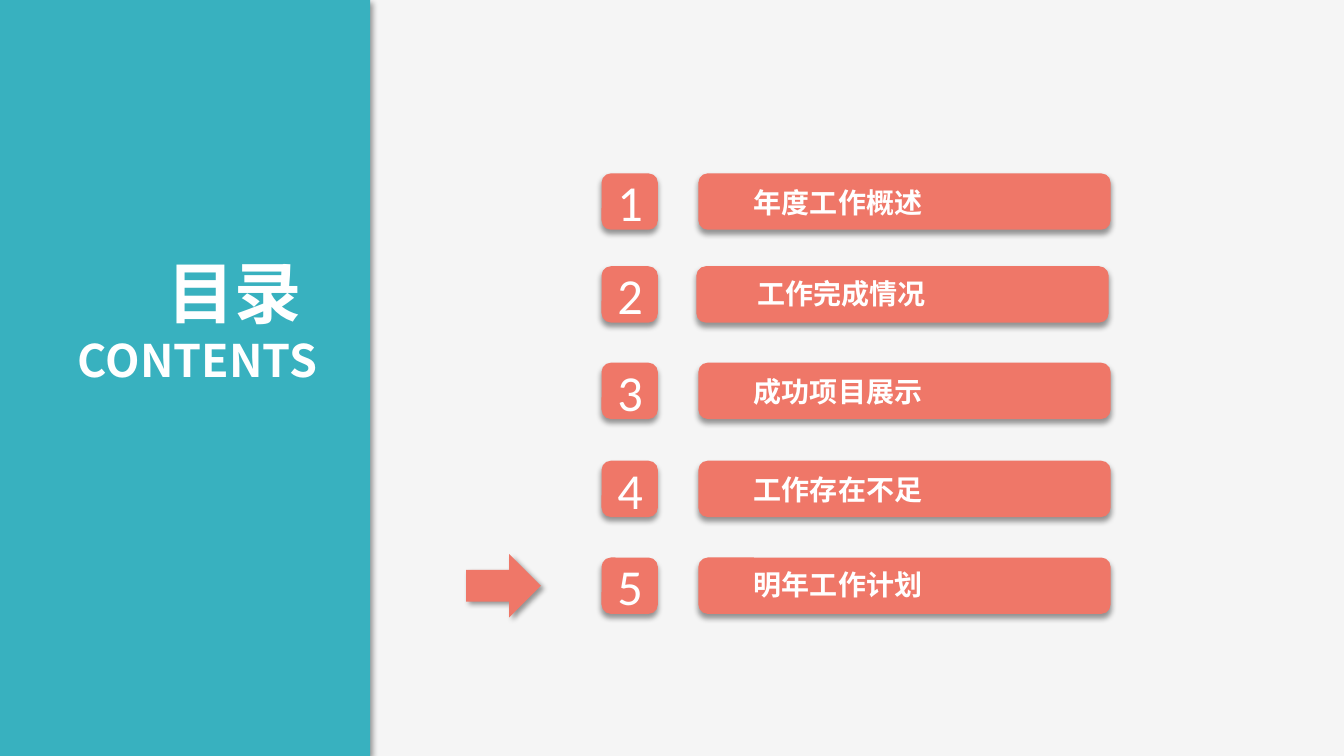
from lxml.etree import SubElement
from pptx import Presentation
from pptx.dml.color import RGBColor
from pptx.enum.shapes import MSO_SHAPE
from pptx.enum.text import MSO_ANCHOR, MSO_AUTO_SIZE, PP_ALIGN
from pptx.oxml.ns import qn
from pptx.util import Cm, Pt

TEAL, CORAL, WHITE, BACKGROUND = "38B1BF", "EF7768", "FFFFFF", "F5F5F5"
CJK_FONT = "Noto Sans CJK SC"


def add_block(shapes, kind, left, top, width, height, color, angle):
    shape = shapes.add_shape(kind, Cm(left), Cm(top), Cm(width), Cm(height))
    shape.fill.solid()
    shape.fill.fore_color.rgb = RGBColor.from_string(color)
    shape.line.fill.background()
    shape.shadow.inherit = False
    effects = shape._element.spPr.find(qn("a:effectLst"))
    shadow = SubElement(effects, qn("a:outerShdw"), blurRad=str(Pt(4)), dist=str(Pt(3)),
                        dir=str(angle * 60000), algn="t", rotWithShape="0")
    shadow_color = SubElement(shadow, qn("a:srgbClr"), val="000000")
    SubElement(shadow_color, qn("a:alpha"), val="40000")
    return shape


def write(shape, lines, font_name, bold, alignment, anchor, auto_size):
    frame = shape.text_frame
    frame.word_wrap = True
    frame.auto_size = auto_size
    frame.vertical_anchor = anchor
    frame.margin_left = frame.margin_right = Cm(0.33)
    frame.margin_top = frame.margin_bottom = Cm(0.17)
    frame.text = "\n".join(text for text, size in lines)
    for paragraph, (text, size) in zip(frame.paragraphs, lines):
        paragraph.alignment = alignment
        paragraph.font.size = Pt(size)
        paragraph.font.bold = bold
        paragraph.font.color.rgb = RGBColor.from_string(WHITE)
        paragraph.font.name = font_name
        properties = paragraph._p.pPr.find(qn("a:defRPr"))
        SubElement(properties, qn("a:ea"), typeface=font_name)


presentation = Presentation()
presentation.slide_width = Cm(33.87)
presentation.slide_height = Cm(19.05)
slide = presentation.slides.add_slide(presentation.slide_layouts[5])
slide.background.fill.solid()
slide.background.fill.fore_color.rgb = RGBColor.from_string(BACKGROUND)

sections = [
    ("年度工作概述", 4.37, 17.6, 18.67, 4.5),
    ("工作完成情况", 6.71, 17.55, 18.75, 6.81),
    ("成功项目展示", 9.14, 17.6, 18.67, 9.27),
    ("工作存在不足", 11.61, 17.6, 18.67, 11.73),
    ("明年工作计划", 14.05, 17.6, 18.67, 14.12),
]
for number, (name, top, bar_left, label_left, label_top) in enumerate(sections, 1):
    badge = add_block(slide.shapes, MSO_SHAPE.ROUNDED_RECTANGLE, 15.16, top, 1.42, 1.42, CORAL, 90)
    write(badge, [(str(number), 36)], "Calibri", False, PP_ALIGN.CENTER,
          MSO_ANCHOR.MIDDLE, MSO_AUTO_SIZE.NONE)
    group = slide.shapes.add_group_shape()
    add_block(group.shapes, MSO_SHAPE.ROUNDED_RECTANGLE, bar_left, top, 10.39, 1.42, CORAL, 90)
    label = group.shapes.add_textbox(Cm(label_left), Cm(label_top), Cm(7.5), Cm(1.19))
    write(label, [(name, 20)], CJK_FONT, True, PP_ALIGN.LEFT,
          MSO_ANCHOR.TOP, MSO_AUTO_SIZE.SHAPE_TO_FIT_TEXT)

add_block(slide.shapes, MSO_SHAPE.RECTANGLE, -0.3, 0, 9.63, 19.05, TEAL, 45)

title = slide.shapes.title
title.left, title.top, title.width, title.height = Cm(0.53), Cm(6.17), Cm(7.8), Cm(3.76)
write(title, [("目录 ", 48), ("CONTENTS", 32)], CJK_FONT, True, PP_ALIGN.RIGHT,
      MSO_ANCHOR.TOP, MSO_AUTO_SIZE.SHAPE_TO_FIT_TEXT)
slide.shapes._spTree.append(title._element)

add_block(slide.shapes, MSO_SHAPE.RIGHT_ARROW, 11.75, 13.96, 1.88, 1.6, CORAL, 45)

presentation.save("out.pptx")
